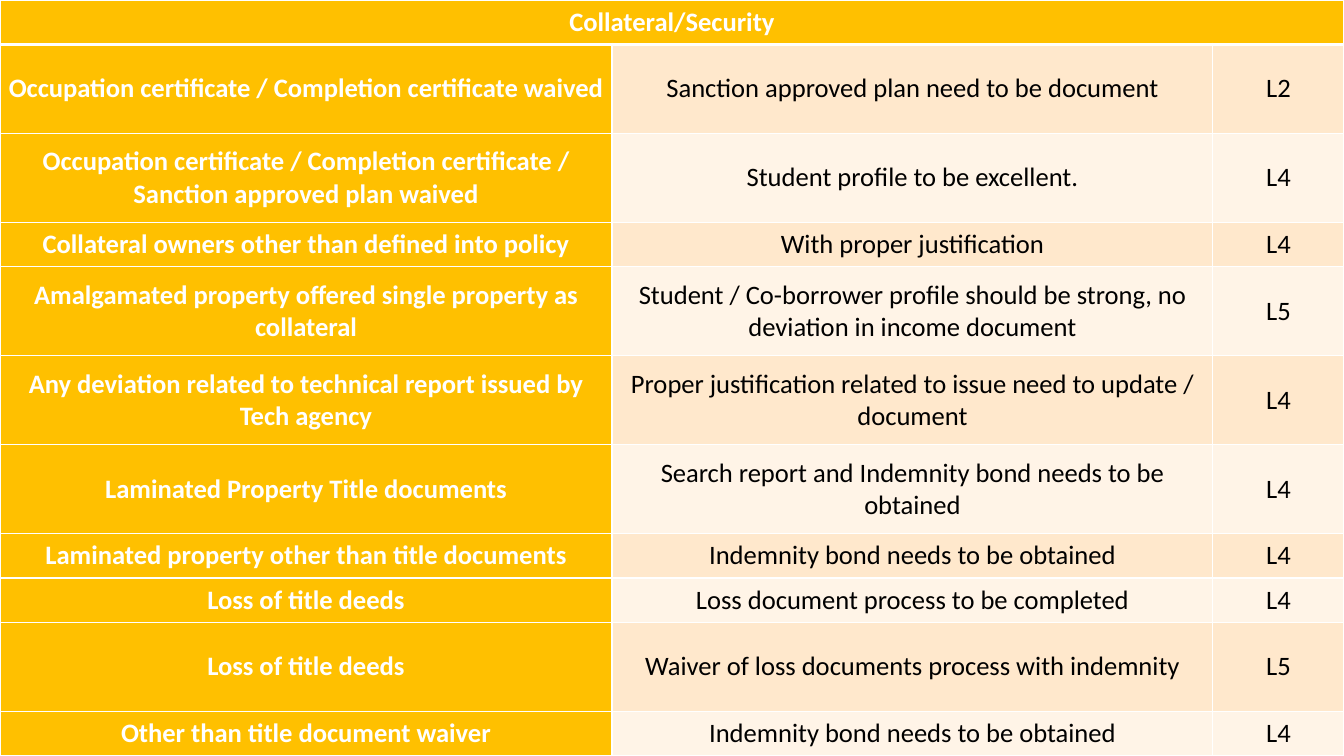
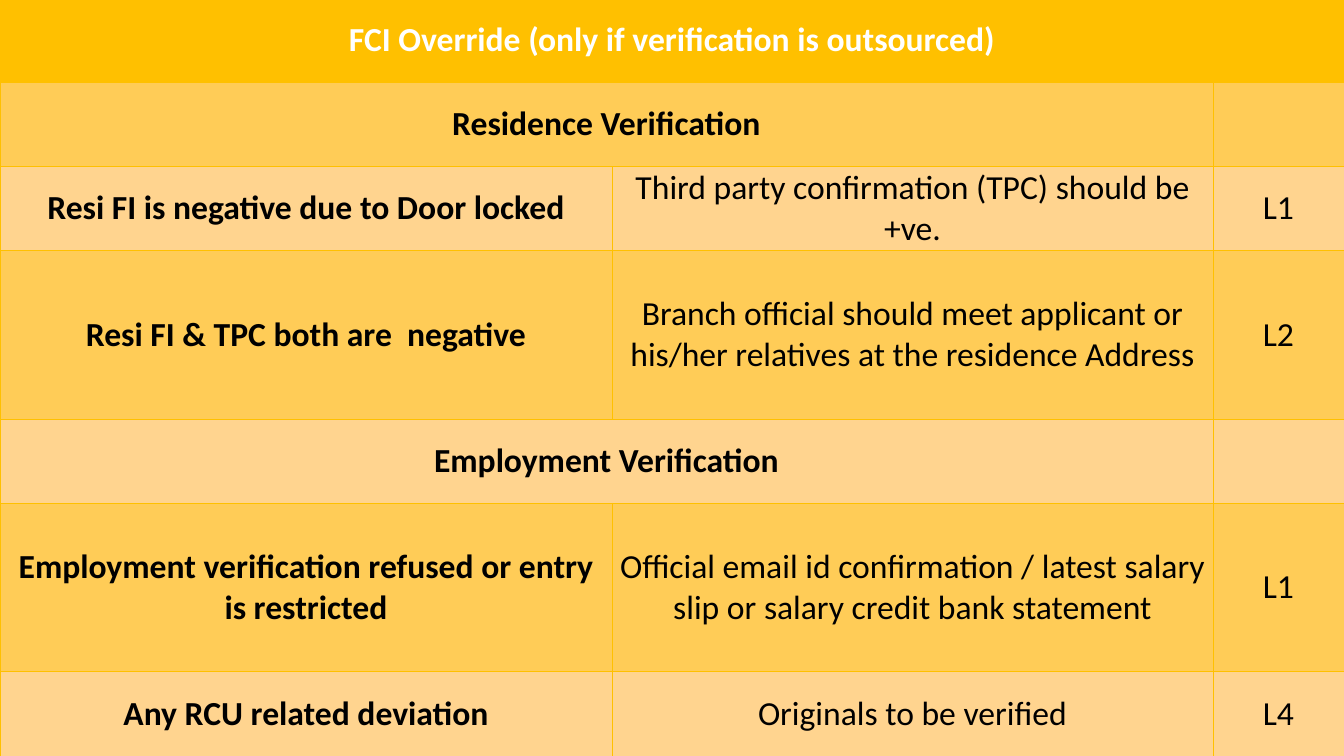
"""Build two full-slide tables of loan deviation rules and approval levels."""
from lxml import etree
from pptx import Presentation
from pptx.dml.color import RGBColor
from pptx.enum.text import MSO_ANCHOR, PP_ALIGN
from pptx.oxml.ns import qn
from pptx.util import Inches, Pt

CENTER = PP_ALIGN.CENTER
MIDDLE = MSO_ANCHOR.MIDDLE
FONT = "Calibri"
GOLD, WHITE, BLACK = "FFC000", "FFFFFF", "000000"
WIDE, HIGH = 13.33, 7.5
COLS = [6.07, 5.96, 1.3]


def paint(fmt, hue):
    fmt.rgb = RGBColor.from_string(hue)


def edge(cell, side, hue, width):
    props = cell._tc.get_or_add_tcPr()
    line = etree.SubElement(props, qn("a:ln" + side), w=str(Pt(width)))
    fill = etree.SubElement(line, qn("a:solidFill"))
    etree.SubElement(fill, qn("a:srgbClr"), val=hue)


# Each row: height in units, then its cells; None joins the cell to its left.
PAGES = [
    {
        "top": 0, "size": 19, "line": WHITE, "width": 1, "rule": 3,
        "bands": ["FFE8CC", "FFF4E7"], "lead": (GOLD, WHITE),
        "rows": [
            (1, "Collateral/Security", None, None),
            (2, "Occupation certificate / Completion certificate waived",
             "Sanction approved plan need to be document", "L2"),
            (2, "Occupation certificate / Completion certificate / "
             "Sanction approved plan waived",
             "Student profile to be excellent.", "L4"),
            (1, "Collateral owners other than defined into policy",
             "With proper justification", "L4"),
            (2, "Amalgamated property offered single property as collateral",
             "Student / Co-borrower profile should be strong, "
             "no deviation in income document", "L5"),
            (2, "Any deviation related to technical report issued by "
             "Tech agency",
             "Proper justification related to issue need to update / "
             "document", "L4"),
            (2, "Laminated Property Title documents",
             "Search report and Indemnity bond needs to be obtained", "L4"),
            (1, "Laminated property other than title documents",
             "Indemnity bond needs to be obtained", "L4"),
            (1, "Loss of title deeds",
             "Loss document process to be completed", "L4"),
            (2, "Loss of title deeds",
             "Waiver of loss documents process with indemnity", "L5"),
            (1, "Other than title document waiver",
             "Indemnity bond needs to be obtained", "L4"),
        ],
    },
    {
        "top": -0.02, "size": 24, "line": GOLD, "width": 0.5, "rule": 0.5,
        "bands": ["FFCC57", "FFD48F"], "lead": (None, BLACK),
        "rows": [
            (1, "FCI Override (only if verification is outsourced)",
             None, None),
            (1, "Residence Verification", None, ""),
            (1, "Resi FI is negative due to Door locked",
             "Third party confirmation (TPC) should be +ve.", "L1"),
            (2, "Resi FI & TPC both are  negative",
             "Branch official should meet applicant or his/her relatives "
             "at the residence Address", "L2"),
            (1, "Employment Verification", None, ""),
            (2, "Employment verification refused or entry is restricted",
             "Official email id confirmation / latest salary slip or "
             "salary credit bank statement", "L1"),
            (1, "Any RCU related deviation",
             "Originals to be verified", "L4"),
        ],
    },
]

deck = Presentation()
deck.slide_width, deck.slide_height = Inches(WIDE), Inches(HIGH)

for page in PAGES:
    slide = deck.slides.add_slide(deck.slide_layouts[6])
    rows = page["rows"]
    tall = HIGH - page["top"]
    unit = tall / sum(row[0] for row in rows)
    table = slide.shapes.add_table(
        len(rows), len(COLS), 0, Inches(page["top"]),
        Inches(WIDE), Inches(tall)).table
    table.first_row = table.horz_banding = False
    for col, width in zip(table.columns, COLS):
        col.width = Inches(width)

    for r, (units, *texts) in enumerate(rows):
        table.rows[r].height = Inches(units * unit)
        span = texts.count(None)
        if span:
            table.cell(r, 0).merge(table.cell(r, span))
        for c, text in enumerate(texts):
            cell = table.cell(r, c)
            cell.margin_left = cell.margin_right = Inches(0.07)
            cell.margin_top = cell.margin_bottom = 0
            cell.vertical_anchor = MIDDLE
            for side in "LRTB":
                thick = (r, side) in [(0, "B"), (1, "T")]
                edge(cell, side, page["line"],
                     page["rule"] if thick else page["width"])

            fill, ink = page["bands"][(r + 1) % 2], BLACK
            if r == 0:
                fill, ink = GOLD, WHITE
            elif c == 0:
                fill, ink = page["lead"][0] or fill, page["lead"][1]
            cell.fill.solid()
            paint(cell.fill.fore_color, fill)
            if text:
                para = cell.text_frame.paragraphs[0]
                para.alignment = CENTER
                run = para.add_run()
                run.text = text
                run.font.name, run.font.size = FONT, Pt(page["size"])
                run.font.bold = c == 0
                paint(run.font.color, ink)

deck.save("out.pptx")
